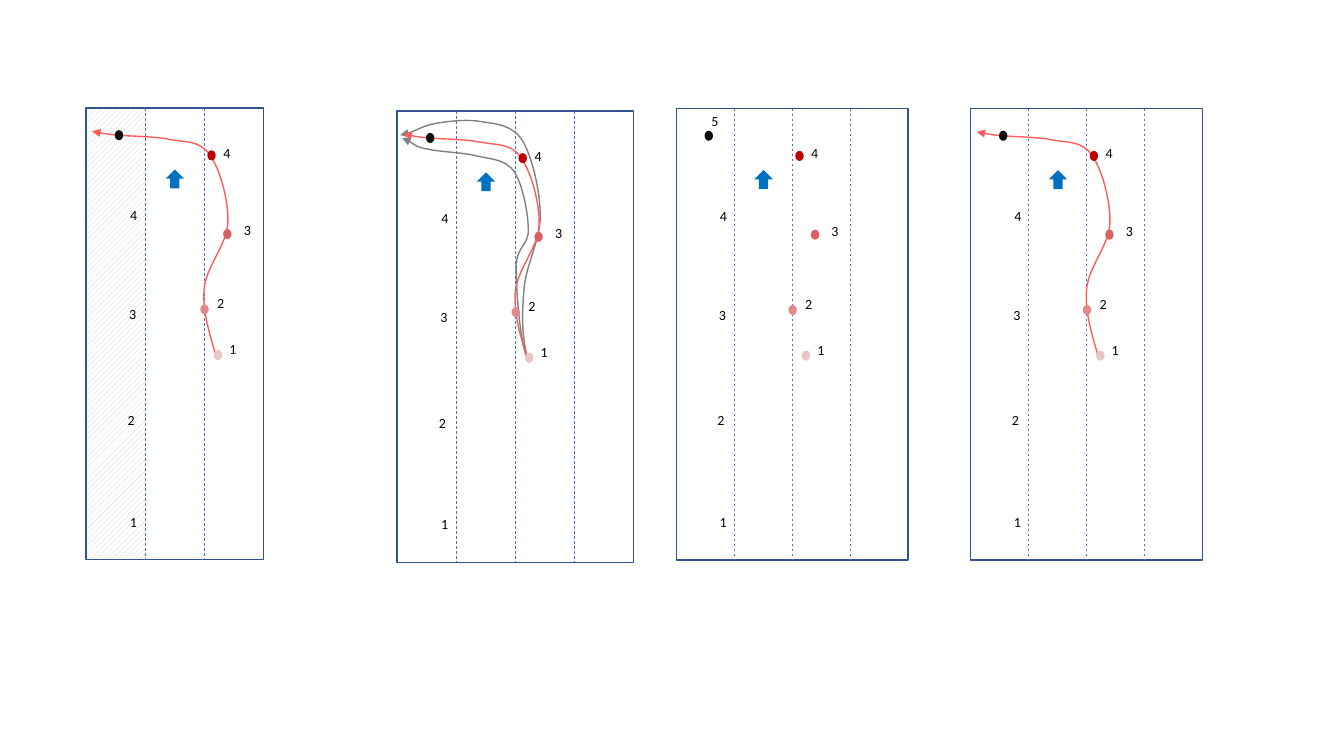
"""Build a slide of four lane diagrams with numbered positions and driving paths."""
from lxml import etree
from pptx import Presentation
from pptx.dml.color import RGBColor
from pptx.enum import dml, shapes
from pptx.oxml import ns
from pptx.util import Pt

LANE_WIDTH, ROAD_HEIGHT = 41.4, 322.5
BORDER, DIVIDER, HEADING = "325491", "4472C4", "0070C0"
RED, GREY, WHITE, BLACK = "FF5D5D", "808080", "FFFFFF", "000000"

LABELS = [
    ("1", 93.6, 162.7), ("2", 85, 129.6), ("3", 103.7, 77.8), ("4", 89.3, 22.3),
    ("1", 23.8, 285.8), ("2", 22.3, 213.1), ("3", 23.3, 137.5), ("4", 24.1, 67),
]
FIFTH_LABEL = ("5", 18, -0.7)
POSITIONS = [
    ("E38989", 80.1, 140.2), ("E8C6C6", 89.6, 172.8), ("D86262", 96.1, 86.4),
    ("C00000", 85, 30.2), ("0D0D0D", 20.2, 15.8),
]
MAIN_PATH = (RED, [
    (90.7, 175.7), (86.4, 160.6), (81.4, 144.7), (82.8, 128.9), (84.2, 113),
    (98.6, 97.9), (99.4, 82.1), (100.1, 66.2), (93.6, 42.5), (86.4, 33.1),
    (79.9, 23), (69.1, 24.5), (58.3, 22.3), (47.5, 20.2), (32.4, 20.2),
    (23, 19.4), (14.4, 18.7), (7.9, 17.3), (4.3, 16.6),
])
OUTER_PATH = (GREY, [
    (91.8, 177.8), (86.8, 160.6), (87.5, 144), (88.9, 126.7), (90.4, 109.4),
    (100.2, 92.9), (100.2, 74.9), (100.2, 57.6), (94.6, 32.4), (87.5, 20.9),
    (80.5, 10.1), (69.9, 9.4), (60, 7.9), (50.1, 5.8), (38.1, 7.2),
    (28.9, 8.6), (19.1, 10.1), (6.4, 18), (2.1, 17.3),
])
INNER_PATH = (GREY, [
    (90.4, 175), (85.4, 159.8), (83.3, 126), (83.3, 110.9), (84, 95.8),
    (92.5, 95.8), (91.8, 84.2), (91.8, 72.7), (87.5, 51.8), (81.9, 43.2),
    (75.5, 34.6), (66.4, 34.6), (56.5, 32.4), (45.9, 29.5), (30.4, 29.5),
    (21.9, 27.4), (12.7, 25.9), (7.8, 20.2), (3.5, 19.4),
])
ROADS = [
    dict(left=483.1, top=77.6, stretch=1, lanes=4, paths=[], labels=LABELS + [FIFTH_LABEL]),
    dict(left=693.4, top=77.6, stretch=1, lanes=4, paths=[MAIN_PATH], labels=LABELS),
    dict(left=61.4, top=77.2, stretch=1.02, lanes=3, paths=[MAIN_PATH], labels=LABELS,
         closed_lane=True),
    dict(left=283.7, top=79.2, stretch=1.02, lanes=4,
         paths=[OUTER_PATH, INNER_PATH, MAIN_PATH], labels=LABELS),
]


def rgb(value):
    return RGBColor.from_string(value)


def style(shape, fill=None, line=None):
    shape.shadow.inherit = False
    if fill:
        shape.fill.solid()
        shape.fill.fore_color.rgb = rgb(fill)
    else:
        shape.fill.background()
    if line:
        shape.line.color.rgb = rgb(line)
        shape.line.width = Pt(1)
    else:
        shape.line.fill.background()


def add_divider(group, x, top, bottom):
    divider = group.add_connector(shapes.MSO_CONNECTOR.STRAIGHT, x, top, x, bottom)
    divider.line.color.rgb = rgb(DIVIDER)
    divider.line.width = Pt(0.5)
    divider.line.dash_style = dml.MSO_LINE.DASH
    etree.SubElement(divider._element.spPr, ns.qn("a:effectLst"))


def add_label(group, digit, x, y):
    label = group.add_textbox(x, y, Pt(14.4), Pt(24.5))
    label.text_frame.word_wrap = True
    label.text_frame.margin_right = 0
    run = label.text_frame.paragraphs[0].add_run()
    run.text = digit
    run.font.name = "Calibri"
    run.font.size = Pt(10)
    run.font.color.rgb = rgb(BLACK)


def add_path(group, color, points):
    builder = group.build_freeform(*points[0])
    builder.add_line_segments(points[1:], close=False)
    route = builder.convert_to_shape()
    style(route, line=color)
    properties = route._element.spPr
    outline = properties.find(".//" + ns.qn("a:path"))
    segments = outline.findall(ns.qn("a:lnTo"))
    for start in range(0, len(segments), 3):
        curve = etree.SubElement(outline, ns.qn("a:cubicBezTo"))
        for segment in segments[start:start + 3]:
            curve.append(segment[0])
            outline.remove(segment)
    etree.SubElement(properties.find(ns.qn("a:ln")), ns.qn("a:tailEnd"), type="triangle")


def add_road(slide, left, top, stretch, lanes, paths, labels, closed_lane=False):
    group = slide.shapes.add_group_shape().shapes
    lane = LANE_WIDTH * stretch

    def place(x, y):
        return Pt(left + x * stretch), Pt(top + y)

    if closed_lane:
        hatch = group.add_shape(shapes.MSO_SHAPE.RECTANGLE, *place(0, 0), Pt(lane), Pt(ROAD_HEIGHT))
        style(hatch)
        hatch.fill.patterned()
        hatch.fill.pattern = dml.MSO_PATTERN.WIDE_UPWARD_DIAGONAL
        hatch.fill.fore_color.rgb = rgb("D0CECE")
        hatch.fill.back_color.rgb = rgb(WHITE)
    road = group.add_shape(shapes.MSO_SHAPE.RECTANGLE, *place(0, 0), Pt(lane * lanes), Pt(ROAD_HEIGHT))
    style(road, None if closed_lane else WHITE, BORDER)
    for number in range(1, lanes):
        add_divider(group, *place(number * LANE_WIDTH, 0), Pt(top + ROAD_HEIGHT))
    for digit, x, y in labels:
        add_label(group, digit, *place(x, y))
    for color, points in paths:
        add_path(group, color, [place(x, y) for x, y in points])
    for color, x, y in POSITIONS:
        position = group.add_shape(shapes.MSO_SHAPE.OVAL, *place(x, y), Pt(6), Pt(7.2))
        style(position, color)
    heading = group.add_shape(shapes.MSO_SHAPE.RIGHT_ARROW, *place(55.6, 44), Pt(13.5), Pt(13.2))
    heading.rotation = 270
    style(heading, HEADING)


def main():
    deck = Presentation()
    deck.slide_width, deck.slide_height = Pt(960), Pt(540)
    slide = deck.slides.add_slide(deck.slide_layouts[6])
    for road in ROADS:
        add_road(slide, **road)
    deck.save("out.pptx")


if __name__ == "__main__":
    main()
